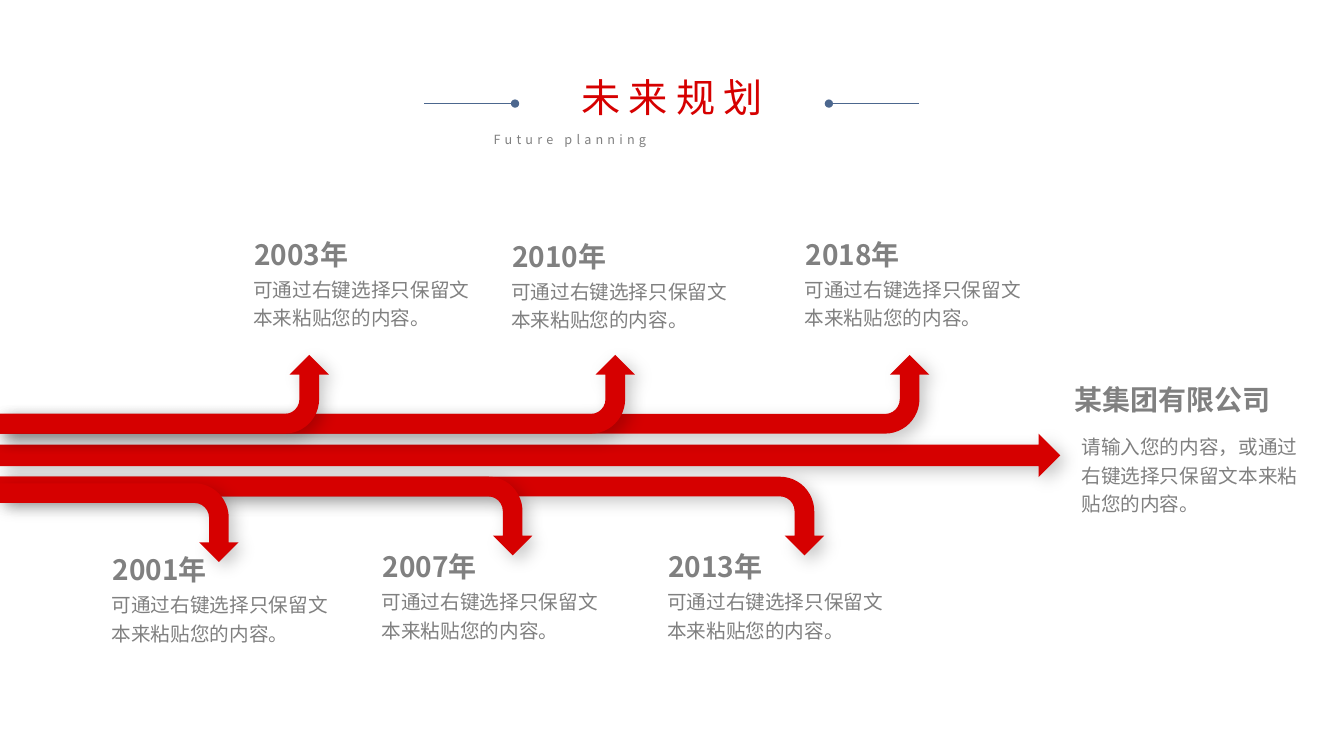
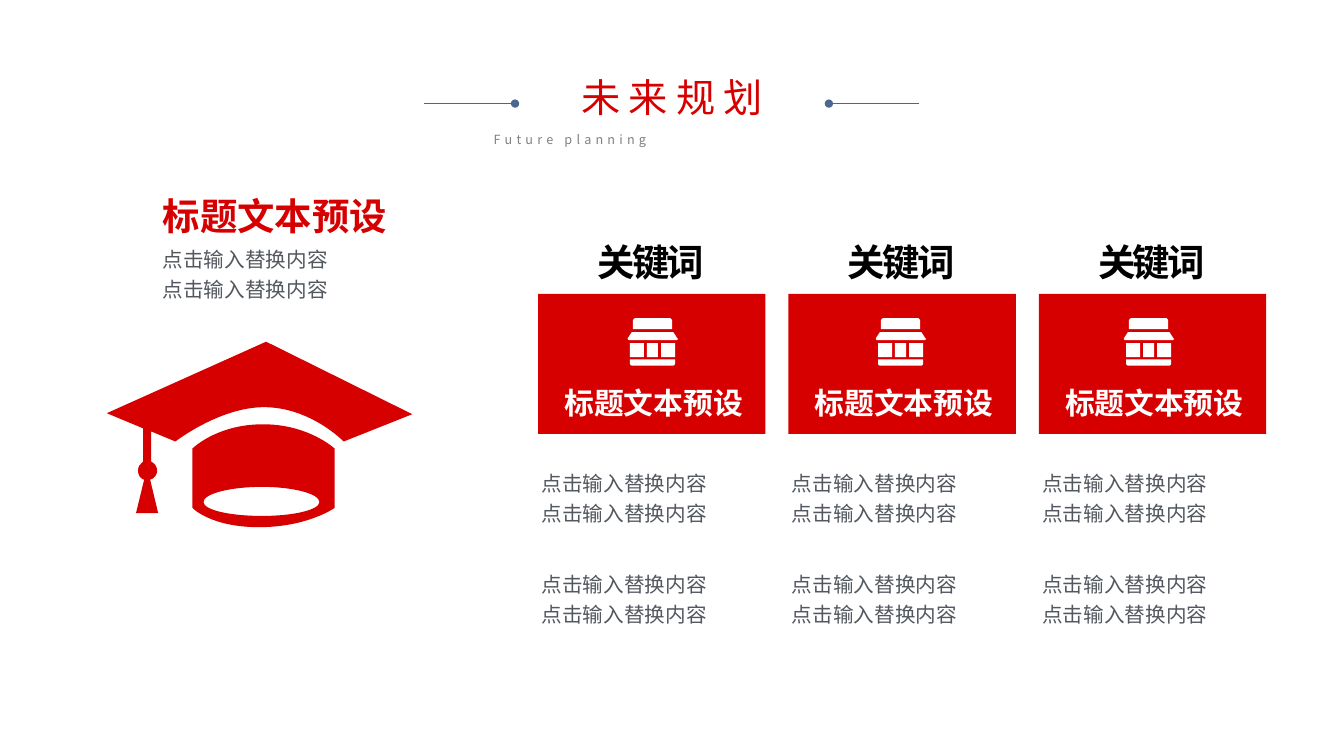
import lxml.etree
import pptx
import pptx.dml.color
import pptx.enum.shapes
import pptx.enum.text
import pptx.oxml.ns
import pptx.util

Pt = pptx.util.Pt
RGBColor = pptx.dml.color.RGBColor
SHAPE = pptx.enum.shapes.MSO_SHAPE
ALIGN = pptx.enum.text.PP_ALIGN
ANCHOR = pptx.enum.text.MSO_ANCHOR
AUTO_SIZE = pptx.enum.text.MSO_AUTO_SIZE
qn = pptx.oxml.ns.qn

# Shared look
RED = RGBColor(0xD6, 0x00, 0x00)
BLUE = RGBColor(0x4C, 0x67, 0x8E)
GREY = RGBColor(0x80, 0x80, 0x80)
SLATE = RGBColor(0x53, 0x58, 0x5F)
BLACK = RGBColor(0x00, 0x00, 0x00)
WHITE = RGBColor(0xFF, 0xFF, 0xFF)
FONT = "Noto Sans CJK SC"

# Timeline
ARROW_DEPTH = 56.2
UP_MIDDLE = 281.6
DOWN_MIDDLE = 368.6
# (length from the left edge, middle height, points up)
BENT_ARROWS = [
    (663.8, UP_MIDDLE, True),
    (588.6, DOWN_MIDDLE, False),
    (453.6, UP_MIDDLE, True),
    (235, UP_MIDDLE, True),
    (380.2, DOWN_MIDDLE, False),
    (170.4, 373.3, False),
]
MILESTONES = [
    ("2001年", 73.4, 391.3),
    ("2003年", 174.6, 166),
    ("2007年", 266.3, 389.2),
    ("2010年", 358.8, 167.2),
    ("2013年", 470.2, 389.2),
    ("2018年", 568.4, 166),
]
MILESTONE_TEXT = "可通过右键选择只保留文本来粘贴您的内容。"

# Cards
CARD_LEFT, CARD_STEP = 384.4, 178.8
ICON_LEFT, ICON_STEP = 448.4, 177.2
CARD_TITLE = "标题文本预设"
CARD_LINES = "点击输入替换内容\n点击输入替换内容"


def box_outline(left, top, right, bottom):
    return [(left, top), (right, top), (right, bottom), (left, bottom)]


# Outlines: a pair is a corner, six numbers are a Bézier curve to the last pair
SHOP_ICON = [
    [(1.6, 29.5), (33.8, 29.5), (33.8, 32.6), (33.8, 33.4, 33.2, 34, 32.4, 34),
     (3, 34), (2.2, 34, 1.6, 33.4, 1.6, 32.6)],
    box_outline(1.6, 18, 11.6, 28),
    box_outline(13.7, 18, 21.6, 28),
    box_outline(23.8, 18, 33.8, 28),
    [(2.9, 10.1), (32.6, 10.1), (35.4, 14.4), (36, 15.1), (34.8, 15.8),
     (0.7, 15.8), (0, 15.1), (0, 14.4)],
    [(5, 0), (30.4, 0), (31.1, 0, 31.7, 0.7, 31.7, 1.4), (31.7, 7.9),
     (3.6, 7.9), (3.6, 1.4), (3.6, 0.7, 4.3, 0, 5, 0)],
]
GRADUATION_CAP = [
    # Board and tassel
    [(245.5, 315.4), (245.5, 315.4, 221.8, 290.9, 188.6, 290.9),
     (157, 290.9, 125.3, 315.4, 125.3, 315.4), (108, 308.2), (108, 329.8),
     (110.2, 330.5, 112.3, 333.4, 112.3, 336.2),
     (112.3, 339.1, 110.2, 342, 107.3, 342.7), (113, 366.5), (97.2, 366.5),
     (103, 342.7), (100.1, 342, 98.6, 339.1, 98.6, 336.2),
     (98.6, 333.4, 100.1, 331.2, 102.2, 329.8), (102.2, 306),
     (76.3, 295.2), (190.1, 244.1), (294.5, 295.9)],
    # Crown
    [(187.9, 303.1), (220.3, 303.1, 239, 320.4, 239, 320.4), (239, 362.9),
     (239, 362.9, 219.6, 376.6, 185, 376.6),
     (150.5, 376.6, 137.5, 362.9, 137.5, 362.9), (137.5, 320.4),
     (137.5, 320.4, 154.8, 303.1, 187.9, 303.1)],
    # Opening
    [(187.2, 368.6), (209.5, 368.6, 228.2, 364.3, 228.2, 358.6),
     (228.2, 352.8, 209.5, 347.8, 187.2, 347.8),
     (164.2, 347.8, 145.4, 352.8, 145.4, 358.6),
     (145.4, 364.3, 164.2, 368.6, 187.2, 368.6)],
]


def add_text(page, text, left, top, width, height, *, size, color, bold=False,
             align=ALIGN.LEFT, anchor=ANCHOR.TOP, tracking=0,
             line_spacing=None, insets=(7.2, 3.6), grow=False):
    box = page.shapes.add_textbox(Pt(left), Pt(top), Pt(width), Pt(height))
    frame = box.text_frame
    frame.word_wrap = True
    frame.auto_size = AUTO_SIZE.SHAPE_TO_FIT_TEXT if grow else AUTO_SIZE.NONE
    frame.vertical_anchor = anchor
    frame.margin_left = frame.margin_right = Pt(insets[0])
    frame.margin_top = frame.margin_bottom = Pt(insets[1])
    for index, line in enumerate(text.split("\n")):
        para = frame.add_paragraph() if index else frame.paragraphs[0]
        para.alignment = align
        if line_spacing:
            para.line_spacing = line_spacing
        span = para.add_run()
        span.text = line
        span.font.size = Pt(size)
        span.font.bold = bold
        span.font.color.rgb = color
        span.font.name = FONT
        properties = span.font._element
        lxml.etree.SubElement(properties, qn("a:ea"), typeface=FONT)
        if tracking:
            properties.set("spc", str(tracking * 100))
    return box


def paint(shape, color):
    shape.shadow.inherit = False
    shape.fill.solid()
    shape.fill.fore_color.rgb = color
    shape.line.fill.background()


def add_shape(page, kind, left, top, width, height, color):
    shape = page.shapes.add_shape(kind, Pt(left), Pt(top), Pt(width), Pt(height))
    paint(shape, color)
    return shape


def add_soft_shadow(shape):
    effects = shape._element.spPr.find(qn("a:effectLst"))
    shadow = lxml.etree.SubElement(
        effects, qn("a:outerShdw"), blurRad=str(Pt(12)), dist=str(Pt(5)),
        dir="2700000", algn="tl", rotWithShape="0")
    tone = lxml.etree.SubElement(shadow, qn("a:srgbClr"), val=str(BLACK))
    lxml.etree.SubElement(tone, qn("a:alpha"), val="21000")


def add_bent_arrow(page, length, middle, points_up):
    # The preset stands upright, so it is centred and turned a quarter
    arrow = add_shape(page, SHAPE.BENT_ARROW, (length - ARROW_DEPTH) / 2,
                      middle - length / 2, ARROW_DEPTH, length, RED)
    arrow.rotation = 90
    if points_up:
        arrow._element.spPr.find(qn("a:xfrm")).set("flipH", "1")
    add_soft_shadow(arrow)


def split_points(part):
    """Give the one corner, or the two handles and end of a curve."""
    return [(part[i] * 100, part[i + 1] * 100) for i in range(0, len(part), 2)]


def bend_lines(shape, outlines):
    """Join each three lines that stand for a curve into one Bézier curve."""
    lines = iter(list(shape._element.iter(qn("a:lnTo"))))
    for part in (part for outline in outlines for part in outline[1:]):
        first = next(lines)
        if len(part) == 6:
            first.tag = qn("a:cubicBezTo")
            for line in (next(lines), next(lines)):
                first.append(line[0])
                line.getparent().remove(line)


def add_outlines(page, outlines, left, top, color):
    start = split_points(outlines[0][0])[0]
    builder = page.shapes.build_freeform(*start, scale=Pt(1) / 100)
    for index, outline in enumerate(outlines):
        if index:
            builder.move_to(*split_points(outline[0])[0])
        points = [point for part in outline[1:] for point in split_points(part)]
        builder.add_line_segments(points, close=False)
        builder._add_close()
    shape = builder.convert_to_shape(Pt(left), Pt(top))
    bend_lines(shape, outlines)
    paint(shape, color)


def add_dotted_line(page, start, end, top):
    line = page.shapes.add_connector(
        pptx.enum.shapes.MSO_CONNECTOR.STRAIGHT, Pt(start), Pt(top), Pt(end), Pt(top))
    line.line.color.rgb = BLUE
    line.line.width = Pt(0.5)
    lxml.etree.SubElement(line.line._get_or_add_ln(), qn("a:tailEnd"), type="oval")
    lxml.etree.SubElement(line._element.spPr, qn("a:effectLst"))


def add_page(deck):
    """Add a blank page with the shared heading."""
    page = deck.slides.add_slide(deck.slide_layouts[6])
    add_text(page, "Future planning", 345.6, 90.4, 269.3, 18, size=9, color=GREY,
             align=ALIGN.JUSTIFY, tracking=3, grow=True)
    add_text(page, "未来规划", 371.8, 49, 216.7, 41, size=28, color=RED,
             align=ALIGN.CENTER, tracking=6, grow=True)
    add_dotted_line(page, 303.1, 367.9, 74)
    add_dotted_line(page, 656.6, 592.1, 74)
    return page


def add_note(page, text, left, top, height):
    add_text(page, text, left, top, 175, height, size=14, color=GREY,
             line_spacing=1.2, grow=True)


def add_timeline(page):
    # Arrows
    main_arrow = add_shape(page, SHAPE.RIGHT_ARROW, 0, 309.8, 757.4, 31, RED)
    add_soft_shadow(main_arrow)
    for arrow in BENT_ARROWS:
        add_bent_arrow(page, *arrow)

    # Goal
    add_text(page, "某集团有限公司", 735.1, 270, 205.2, 31.7, size=20, color=GREY,
             bold=True, align=ALIGN.CENTER, grow=True)
    add_note(page, "请输入您的内容，或通过右键选择只保留文本来粘贴您的内容。",
             765.4, 304, 88.6)

    # Milestones
    for year, left, top in MILESTONES:
        add_text(page, year, left, top, 102.2, 31.7, size=20, color=GREY,
                 bold=True, grow=True)
        add_note(page, MILESTONE_TEXT, left - 0.7, top + 25.6, 68.4)


def add_card(page, left, icon_left):
    add_shape(page, SHAPE.RECTANGLE, left, 210, 162.4, 100, RED)
    add_text(page, "关键词", left, 170.6, 161.3, 32.4, size=26.7, color=BLACK,
             bold=True, align=ALIGN.CENTER, anchor=ANCHOR.MIDDLE, tracking=-2,
             insets=(9.4, 5))
    add_text(page, CARD_TITLE, left + 4, 272.9, 157, 28.8, size=21.3,
             color=WHITE, bold=True, align=ALIGN.CENTER, anchor=ANCHOR.MIDDLE)
    for top in (329.4, 401.4):
        add_text(page, CARD_LINES, left - 4.7, top, 169.9, 49.7, size=14.7,
                 color=SLATE, anchor=ANCHOR.MIDDLE, line_spacing=1.2, grow=True)
    add_outlines(page, SHOP_ICON, icon_left, 227.2, WHITE)


def add_cards(page):
    # Introduction
    add_text(page, CARD_LINES, 116.2, 173, 205.9, 62.6, size=14.7, color=SLATE,
             line_spacing=1.2, insets=(0, 0))
    add_text(page, CARD_TITLE, 116.2, 138, 205.9, 24.5, size=26.7, color=RED,
             bold=True, insets=(0, 0))

    # Three cards
    for column in range(3):
        add_card(page, CARD_LEFT + column * CARD_STEP, ICON_LEFT + column * ICON_STEP)

    add_outlines(page, GRADUATION_CAP, 0, 0, RED)


def main():
    deck = pptx.Presentation()
    deck.slide_width, deck.slide_height = Pt(960), Pt(540)
    add_timeline(add_page(deck))
    add_cards(add_page(deck))
    deck.save("out.pptx")


if __name__ == "__main__":
    main()
